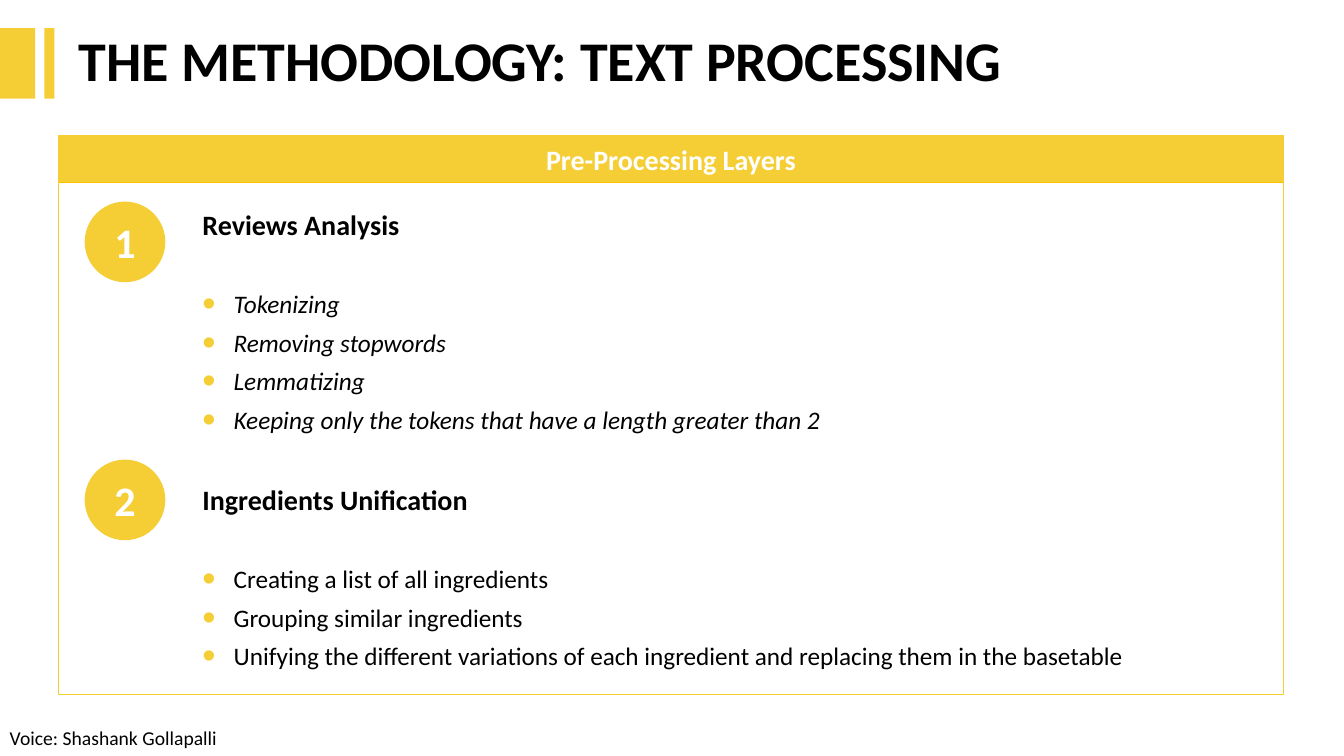
from lxml.etree import SubElement
from pptx import Presentation
from pptx.dml.color import RGBColor
from pptx.enum.shapes import MSO_SHAPE as Shape
from pptx.enum.text import MSO_ANCHOR as Anchor, PP_ALIGN as Align
from pptx.oxml.ns import qn
from pptx.util import Inches, Pt

YELLOW = RGBColor(0xF5, 0xCE, 0x35)
AMBER = RGBColor(0xFF, 0xC0, 0x00)
BLACK = RGBColor(0x00, 0x00, 0x00)
WHITE = RGBColor(0xFF, 0xFF, 0xFF)

SECTION_GAP = 28  # one 18 pt line with its spacing
LAYERS = [
    ("Reviews Analysis", True, [
        "Tokenizing",
        "Removing stopwords",
        "Lemmatizing",
        "Keeping only the tokens that have a length greater than 2",
    ]),
    ("Ingredients Unification", False, [
        "Creating a list of all ingredients",
        "Grouping similar ingredients",
        "Unifying the different variations of each ingredient and "
        "replacing them in the basetable",
    ]),
]


class SlideBuilder:
    """Holds the slide and its style."""

    font_name = "Calibri"

    def __init__(self, slide):
        self.slide = slide

    def run(self, paragraph, text, size, color=BLACK, bold=False, italic=False):
        run = paragraph.add_run()
        run.text = text
        run.font.name = self.font_name
        run.font.size = Pt(size)
        run.font.color.rgb = color
        run.font.bold = bold
        run.font.italic = italic

    def shape(self, kind, box, fill=None, line=None, parent=None):
        shapes = (parent or self.slide).shapes
        shape = shapes.add_shape(kind, *map(Inches, box))
        shape.shadow.inherit = False
        if fill is None:
            shape.fill.background()
        else:
            shape.fill.solid()
            shape.fill.fore_color.rgb = fill
        if line is None:
            shape.line.fill.background()
        else:
            shape.line.color.rgb = line
            shape.line.width = Pt(1)
        return shape

    def label(self, shape, text, size):
        shape.text_frame.vertical_anchor = Anchor.MIDDLE
        paragraph = shape.text_frame.paragraphs[0]
        paragraph.alignment = Align.CENTER
        self.run(paragraph, text, size, WHITE, bold=True)

    def text_box(self, box, anchor=Anchor.TOP):
        frame = self.slide.shapes.add_textbox(*map(Inches, box)).text_frame
        frame.word_wrap = True
        frame.vertical_anchor = anchor
        return frame

    def bullet(self, paragraph):
        properties = paragraph._p.get_or_add_pPr()
        properties.set("marL", str(Inches(0.31)))
        properties.set("indent", str(Inches(-0.31)))
        color = SubElement(properties, qn("a:buClr"))
        SubElement(color, qn("a:srgbClr"), val=str(YELLOW))
        SubElement(properties, qn("a:buSzPct"), val="150000")
        SubElement(properties, qn("a:buFont"), typeface="Arial")
        SubElement(properties, qn("a:buChar"), char="•")

    def layers(self, frame, layers):
        for index, (heading, italic, items) in enumerate(layers):
            paragraph = frame.add_paragraph() if index else frame.paragraphs[0]
            if index:
                paragraph.space_before = Pt(SECTION_GAP)
            paragraph.space_after = Pt(6 + SECTION_GAP)
            self.run(paragraph, heading, 20, bold=True)
            for item in items:
                paragraph = frame.add_paragraph()
                self.bullet(paragraph)
                paragraph.space_after = Pt(6)
                self.run(paragraph, item, 18, italic=italic)


def main():
    presentation = Presentation()
    presentation.slide_width = Inches(13.33)
    presentation.slide_height = Inches(7.5)
    builder = SlideBuilder(
        presentation.slides.add_slide(presentation.slide_layouts[6]))

    # Title and accent bars
    title = builder.text_box((0.68, 0.28, 12.04, 0.7), Anchor.MIDDLE)
    title.paragraphs[0].line_spacing = 0.9
    title.paragraphs[0].space_after = Pt(6)
    builder.run(title.paragraphs[0], "THE METHODOLOGY: TEXT PROCESSING", 40,
                bold=True)
    accent = builder.slide.shapes.add_group_shape()
    for left, width in ((0, 0.35), (0.44, 0.1)):
        builder.shape(Shape.RECTANGLE, (left, 0.28, width, 0.7), YELLOW,
                      parent=accent)

    # Layer descriptions
    builder.layers(builder.text_box((1.91, 1.99, 10.3, 4.73), Anchor.MIDDLE),
                   LAYERS)

    # Panel with header
    header = builder.shape(Shape.RECTANGLE, (0.58, 1.35, 12.15, 0.46), YELLOW,
                           AMBER)
    builder.label(header, "Pre-Processing Layers", 20)
    builder.shape(Shape.RECTANGLE, (0.58, 1.35, 12.15, 5.54), line=YELLOW)

    # Numbered circles
    for number, top in enumerate((2, 4.56), start=1):
        circle = builder.shape(Shape.OVAL, (0.84, top, 0.8, 0.8), YELLOW)
        builder.label(circle, str(number), 30)

    # Speaker credit
    credit = builder.text_box((-0.78, 7.15, 3.81, 0.34)).paragraphs[0]
    credit.alignment = Align.CENTER
    builder.run(credit, "Voice: Shashank Gollapalli", 14)

    presentation.save("out.pptx")


if __name__ == "__main__":
    main()
